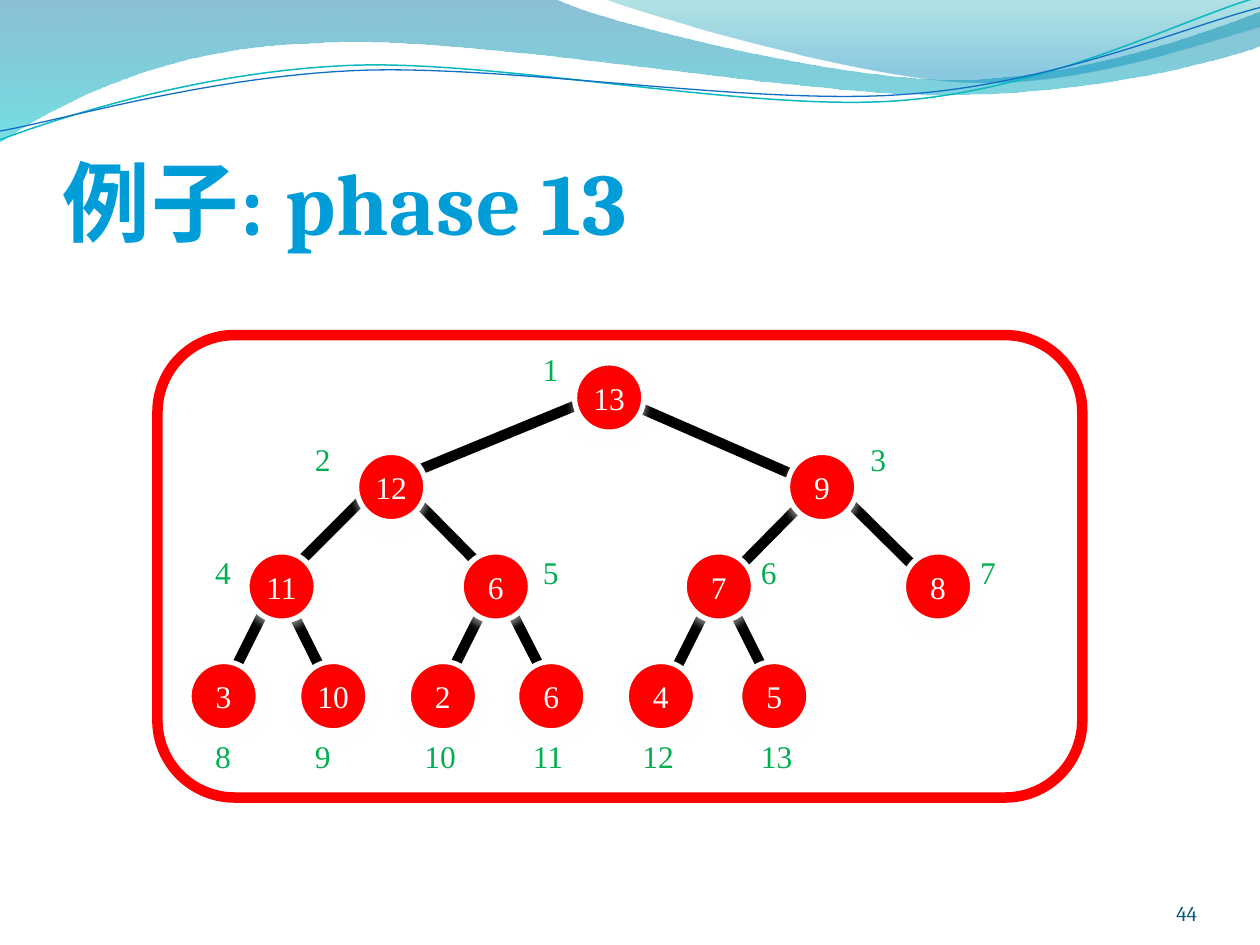
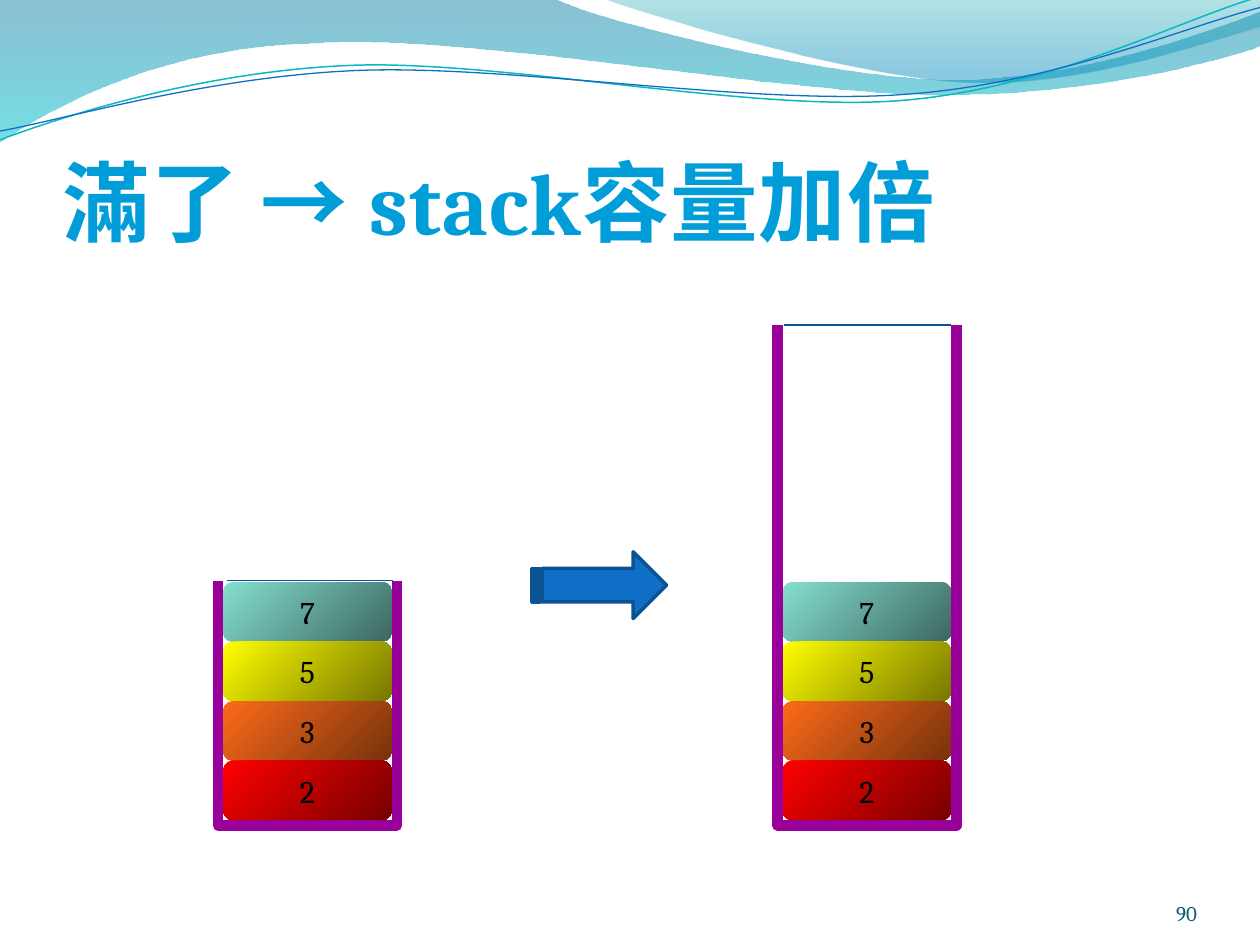
"""Build two lecture slides: a heap tree and a stack that doubles its capacity."""
from dataclasses import dataclass
from typing import Optional

from lxml import etree
from pptx import Presentation
from pptx import util as u
from pptx.dml.color import RGBColor
from pptx.enum import shapes, text
from pptx.oxml.ns import qn

COLUMNS, ROWS = 10, 7.5
UNIT = u.Inches(1)
BLANK = 6
SERIF, ROMAN = "Cambria", "Times New Roman"
RED, WHITE, BLACK, GREEN = "FF0000", "FFFFFF", "000000", "00B050"
TITLE, NUMBER, LID, WALL = "009DD9", "045D75", "095295", "990099"
NODE = 0.55
LEVEL_TOPS = (2.88, 3.59, 4.38, 5.25)
LABEL_TOPS = (2.73, 3.44, 4.34, 5.8)
FLOOR, STACK_W = 6.55, 1.42
BLOCK_W, BLOCK_H = 1.34, 1.89 / 4


@dataclass(frozen=True)
class Gradient:
    """Two colours with their opacities, last stop and clockwise angle."""
    colors: tuple[str, str]
    angle: int
    alphas: tuple[int, int] = (100, 100)
    end: float = 1.0


@dataclass(frozen=True)
class Wave:
    """A header outline: straight steps have two numbers, curves six."""
    start: tuple[float, float]
    steps: tuple[tuple[float, ...], ...]
    fill: Optional[Gradient] = None
    line: Optional[str] = None
    width: float = 0


@dataclass(frozen=True)
class Node:
    """A heap entry with its column, label column and edge from the parent."""
    value: int
    x: float
    label_x: float
    edge: Optional[tuple[float, float, float, float]] = None


@dataclass(frozen=True)
class Stack:
    """An open container with its left side, top and lid ends."""
    x: float
    top: float
    lid: tuple[float, float]


WAVES = (
    Wave((0, 0), ((4.4, -0.01), (4.76, 0.17, 6.64, 0.63, 7.58, 0.63),
                  (8.53, 0.63, 9.58, 0.26, 10, 0.09), (10.01, 0.36),
                  (9.83, 0.44, 8.7, 0.76, 7.46, 0.75),
                  (6.22, 0.75, 3.82, 0.28, 2.57, 0.34),
                  (1.29, 0.36, 0.46, 0.83, -0.01, 1.13), (0, 0)),
         Gradient(("0074A1", "00C6CF"), 90, (45, 55))),
    Wave((4.79, -0.01), ((5.09, 0.11, 6.82, 0.62, 7.69, 0.65),
                         (8.56, 0.69, 9.61, 0.32, 10, 0.21), (10, 0), (4.79, -0.01)),
         Gradient(("00A1A9", "008BBF"), 90, (30, 45), 0.8)),
    Wave((0, 1.11), ((0.48, 0.93, 1.58, 0.57, 2.77, 0.52),
                     (3.95, 0.47, 5.93, 0.89, 7.13, 0.8),
                     (8.33, 0.71, 9.38, 0.15, 9.98, -0.02)), line="0AB8BF", width=0.85),
    Wave((0, 1.04), ((0.47, 0.96, 1.64, 0.61, 2.83, 0.56),
                     (4.03, 0.51, 5.97, 0.84, 7.17, 0.75),
                     (8.36, 0.67, 9.41, 0.21, 10, 0.06)), line="0F6FC6", width=0.75),
)

HEAP = (
    Node(13, 4.56, 4.21),
    Node(12, 2.83, 2.4, (4.81, 3.12, 3.08, 3.83)),
    Node(9, 6.25, 6.81, (4.81, 3.12, 6.62, 3.91)),
    Node(11, 1.96, 1.61, (3.01, 3.83, 2.22, 4.62)),
    Node(6, 3.66, 4.21, (3.16, 3.83, 3.94, 4.62)),
    Node(7, 5.43, 5.94, (6.49, 3.87, 5.71, 4.66)),
    Node(8, 7.17, 7.68, (6.62, 3.87, 7.41, 4.65)),
    Node(3, 1.5, 1.61, (2.21, 4.62, 1.74, 5.56)),
    Node(10, 2.37, 2.4, (2.2, 4.62, 2.67, 5.56)),
    Node(2, 3.24, 3.27, (3.94, 4.62, 3.47, 5.56)),
    Node(6, 4.1, 4.13, (3.94, 4.62, 4.42, 5.56)),
    Node(4, 4.97, 5, (5.71, 4.62, 5.24, 5.56)),
    Node(5, 5.87, 5.94, (5.71, 4.62, 6.18, 5.56)),
)

BLOCKS = (
    (7, Gradient(("85DFD0", "3D6760"), 45)),
    (5, Gradient(("FFFF00", "767600"), 45)),
    (3, Gradient(("FE6B1A", "76320C"), 45)),
    (2, Gradient((RED, "760000"), 45)),
)
STACKS = (Stack(1.73, 4.61, (1.8, 3.12)), Stack(6.17, 2.58, (6.22, 7.55)))


def grid(*cells: float) -> list[u.Emu]:
    """Turn columns or rows of the slide grid into lengths."""
    return [u.Emu(round(c * UNIT)) for c in cells]


def rgb(value: str) -> RGBColor:
    """Return the colour of a hex string."""
    return RGBColor.from_string(value)


def sub(parent, tag: str, **attrs):
    """Append a drawing element with attributes."""
    return etree.SubElement(parent, qn(tag), {k: str(v) for k, v in attrs.items()})


def paint(s, fill=None, line: Optional[str] = None, width: float = 0) -> None:
    """Set the fill and outline of a shape and drop its theme shadow."""
    s.shadow.inherit = False
    if isinstance(fill, Gradient):
        s.fill.gradient()
        s.fill.gradient_angle = 360 - fill.angle
        stops = zip(s.fill.gradient_stops, fill.colors, (0, fill.end))
        for stop, color, position in stops:
            stop.color.rgb, stop.position = rgb(color), position
        for clr, alpha in zip(s.element.spPr.iter(qn("a:srgbClr")), fill.alphas):
            if alpha < 100:
                sub(clr, "a:alpha", val=alpha * 1000)
    elif fill:
        s.fill.solid()
        s.fill.fore_color.rgb = rgb(fill)
    else:
        s.fill.background()
    if line:
        s.line.color.rgb, s.line.width = rgb(line), u.Pt(width)
    else:
        s.line.fill.background()


def write(s, content, *, size: float = 18, font: str = SERIF, color: str = BLACK,
          bold: bool = False, align: str = "LEFT", anchor: str = "TOP",
          wrap: bool = False, insets=None, spacing: int = 0) -> None:
    """Put one formatted line of text into a shape."""
    tf = s.text_frame
    tf.word_wrap, tf.vertical_anchor = wrap, text.MSO_ANCHOR[anchor]
    if insets:
        tf.margin_left, tf.margin_top, tf.margin_right, tf.margin_bottom = grid(*insets)
    p = tf.paragraphs[0]
    p.alignment = text.PP_ALIGN[align]
    r = p.add_run()
    r.text = str(content)
    r.font.name, r.font.size, r.font.bold = font, u.Pt(size), bold
    r.font.color.rgb = rgb(color)
    if spacing:
        props = r.font._element
        props.set("spc", str(spacing))
        props.set("lang", "zh-TW")


def add_text(slide, box, content, **style) -> None:
    """Add a text box."""
    write(slide.shapes.add_textbox(*grid(*box)), content, **style)


def add_shape(slide, kind: str, box, **style):
    """Add a painted preset shape."""
    s = slide.shapes.add_shape(shapes.MSO_SHAPE[kind], *grid(*box))
    paint(s, **style)
    return s


def add_line(slide, ends, color: str, width: float) -> None:
    """Add a straight connector without a shadow."""
    s = slide.shapes.add_connector(shapes.MSO_CONNECTOR.STRAIGHT, *grid(*ends))
    s.line.color.rgb, s.line.width = rgb(color), u.Pt(width)
    sub(s.element.spPr, "a:effectLst")


def add_outline(slide, points, close: bool = False, **style):
    """Add a painted freeform through the points."""
    first, *rest = [grid(*point) for point in points]
    builder = slide.shapes.build_freeform(*first)
    builder.add_line_segments(rest, close=close)
    s = builder.convert_to_shape()
    paint(s, **style)
    return s


def add_wave(slide, wave: Wave):
    """Add a wave whose six-number steps become Bézier curves."""
    points = [wave.start]
    for step in wave.steps:
        points += zip(step[::2], step[1::2])
    s = add_outline(slide, points, close=wave.fill is not None,
                    fill=wave.fill, line=wave.line, width=wave.width)
    segments = iter(list(s.element.spPr.iter(qn("a:lnTo"))))
    for step in wave.steps:
        first, *others = [next(segments) for _ in step[::2]]
        if others:
            curve = etree.Element(qn("a:cubicBezTo"))
            first.addprevious(curve)
            for segment in (first, *others):
                curve.append(segment[0])
                segment.getparent().remove(segment)
    return s


def decorate(layout, slide) -> None:
    """Replace the placeholders of the layout by the header waves."""
    for holder in list(layout.placeholders):
        holder.element.getparent().remove(holder.element)
    for s in [add_wave(slide, wave) for wave in WAVES]:
        layout.shapes._spTree.append(s.element)


def add_slide(prs, title: str, number: int):
    """Add a slide with its title and page number."""
    slide = prs.slides.add_slide(prs.slide_layouts[BLANK])
    if len(prs.slides) == 1:
        decorate(slide.slide_layout, slide)
    add_text(slide, (0.5, 0.76, 9, 1.25), title, size=50, color=TITLE, bold=True,
             anchor="BOTTOM", wrap=True, insets=(0, 0.05, 0, 0), spacing=50)
    add_text(slide, (8.67, 6.95, 0.83, 0.4), number, size=12, color=NUMBER,
             align="RIGHT", anchor="BOTTOM", wrap=True, insets=(0, 0, 0, 0))
    return slide


def add_node(slide, node: Node, index: int) -> None:
    """Draw a heap entry and its index."""
    level = index.bit_length() - 1
    s = add_shape(slide, "OVAL", (node.x, LEVEL_TOPS[level], NODE, NODE),
                  fill=RED, line=WHITE, width=3)
    effects = s.element.spPr.find(qn("a:effectLst"))
    shadow = sub(effects, "a:outerShdw", blurRad=u.Pt(4.5), dist=u.Pt(3),
                 dir=90 * 60000, rotWithShape=0)
    sub(sub(shadow, "a:srgbClr", val=WHITE), "a:alpha", val=48000)
    write(s, node.value, font=ROMAN, color=WHITE, align="CENTER", anchor="MIDDLE")
    width = 0.33 if index < 10 else 0.45
    add_text(slide, (node.label_x, LABEL_TOPS[level], width, 0.4), index,
             font=ROMAN, color=GREEN)


def add_stack(slide, stack: Stack) -> None:
    """Draw the blocks, walls and lid of a stack."""
    first_top = FLOOR - 0.04 - len(BLOCKS) * BLOCK_H
    for i, (value, fill) in enumerate(BLOCKS):
        s = add_shape(slide, "ROUNDED_RECTANGLE",
                      (stack.x + 0.04, first_top + i * BLOCK_H, BLOCK_W, BLOCK_H), fill=fill)
        write(s, value, align="CENTER", anchor="MIDDLE")
    right = stack.x + STACK_W
    corners = ((stack.x, stack.top), (stack.x, FLOOR), (right, FLOOR), (right, stack.top))
    walls = add_outline(slide, corners, line=WALL, width=6)
    sub(walls.element.spPr.find(qn("a:ln")), "a:round")
    left_end, right_end = stack.lid
    add_line(slide, (left_end, stack.top, right_end, stack.top), LID, 0.75)


def build_heap(prs) -> None:
    """Build the heap slide."""
    slide = add_slide(prs, "例子: phase 13", 44)
    for node in reversed(HEAP):
        if node.edge:
            add_line(slide, node.edge, BLACK, 6)
    for index, node in enumerate(HEAP, 1):
        add_node(slide, node, index)
    add_shape(slide, "ROUNDED_RECTANGLE", (1.25, 2.66, 7.34, 3.67), line=RED, width=6)


def build_stacks(prs) -> None:
    """Build the stack slide."""
    slide = add_slide(prs, "滿了 → stack容量加倍", 90)
    for stack in STACKS:
        add_stack(slide, stack)
    add_shape(slide, "STRIPED_RIGHT_ARROW", (4.22, 4.38, 1.07, 0.53),
              fill="0F6FC6", line="0B5292", width=2)


def main() -> None:
    """Build and save the presentation."""
    prs = Presentation()
    prs.slide_width, prs.slide_height = grid(COLUMNS, ROWS)
    build_heap(prs)
    build_stacks(prs)
    prs.save("out.pptx")


if __name__ == "__main__":
    main()
